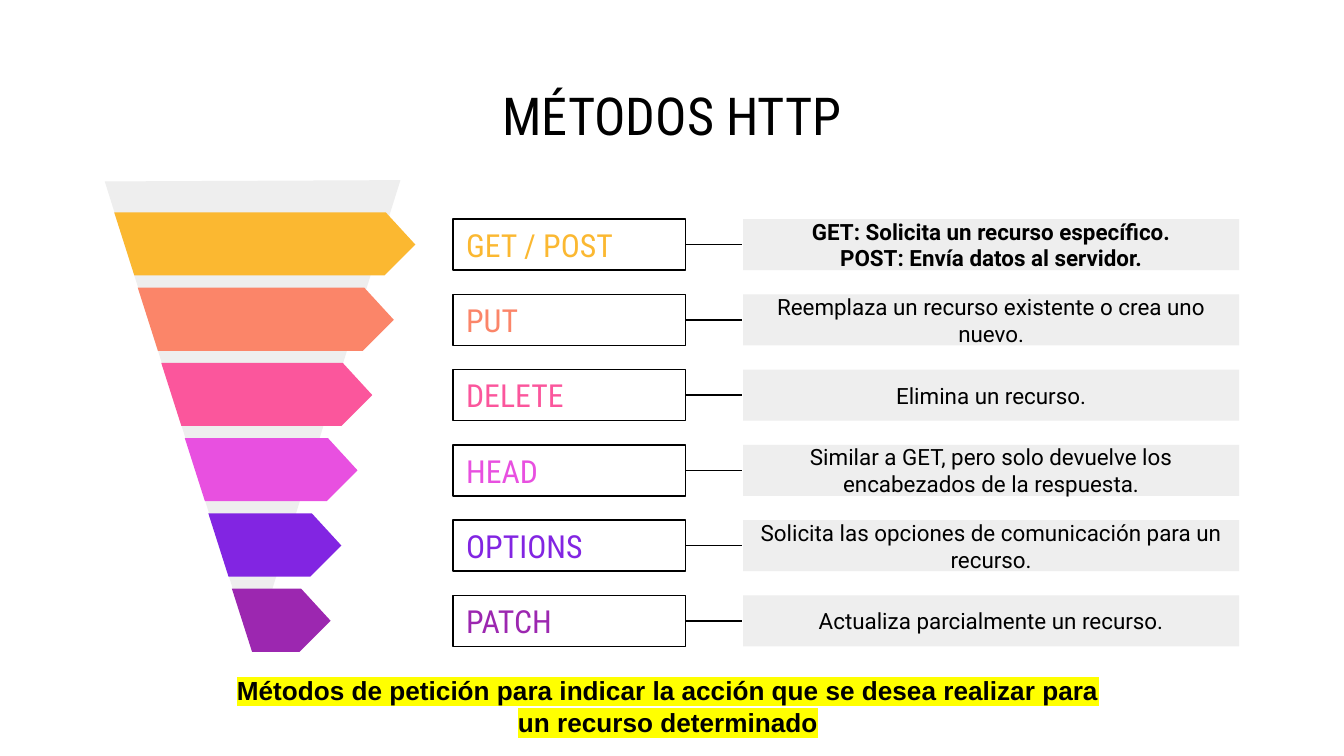
"""Build a slide that lists the HTTP request methods beside a funnel."""
from dataclasses import dataclass

from lxml import etree
from pptx import Presentation
from pptx.dml.color import RGBColor
from pptx.enum import shapes, text
from pptx.oxml import ns
from pptx.util import Inches, Pt


@dataclass(frozen=True)
class Theme:
    """Colours, fonts and type sizes of the slide."""
    ink: str = "000000"
    panel: str = "EEEEEE"
    highlight: str = "FFFF00"
    condensed: str = "Roboto Condensed"
    body: str = "Roboto"
    plain: str = "Arial"
    title_size: float = 28
    label_size: float = 17
    body_size: float = 12
    caption_size: float = 14
    line_width: float = 0.75


@dataclass(frozen=True)
class Method:
    """One row: label, colour, arrow tip and description lines."""
    label: str
    color: str
    tip: float
    lines: tuple
    bold: bool = False


THEME = Theme()
FIRST_CENTER = 1.82
ROW_STEP = 0.56
BOX_HEIGHT = 0.38
METHODS = (
    Method("GET / POST", "FBB831", 3.09,
           ("GET: Solicita un recurso específico.", "POST: Envía datos al servidor."), True),
    Method("PUT", "FB8569", 2.93, ("Reemplaza un recurso existente o crea uno nuevo.",)),
    Method("DELETE", "FB569C", 2.77, ("Elimina un recurso.",)),
    Method("HEAD", "E850E0", 2.66,
           ("Similar a GET, pero solo devuelve los encabezados de la respuesta.",)),
    Method("OPTIONS", "8225E2", 2.54,
           ("Solicita las opciones de comunicación para un recurso.",)),
    Method("PATCH", "9C27B0", 2.46, ("Actualiza parcialmente un recurso.",)),
)


def rgb(color):
    """Turn a hex string into a colour."""
    return RGBColor.from_string(color)


def write(frame, lines, font, size, color=THEME.ink, bold=False,
          align=text.PP_ALIGN.CENTER, margins=(0.1, 0)):
    """Fill a text frame with one run per line and return the runs."""
    frame.word_wrap = True
    frame.margin_left = frame.margin_right = Inches(margins[0])
    frame.margin_top = frame.margin_bottom = Inches(margins[1])
    runs = []
    for index, line in enumerate(lines):
        paragraph = frame.add_paragraph() if index else frame.paragraphs[0]
        paragraph.alignment = align
        run = paragraph.add_run()
        run.text = line
        run.font.name = font
        run.font.size = Pt(size)
        run.font.bold = bold
        run.font.color.rgb = rgb(color)
        runs.append(run)
    return runs


def add_title(slide, title):
    """Place and format the title placeholder."""
    shape = slide.shapes.title
    shape.left, shape.top = Inches(0.78), Inches(0.59)
    shape.width, shape.height = Inches(8.44), Inches(0.52)
    write(shape.text_frame, (title,), THEME.condensed, THEME.title_size, margins=(0, 0.1))
    shape.text_frame.auto_size = text.MSO_AUTO_SIZE.NONE
    shape.text_frame.vertical_anchor = text.MSO_ANCHOR.MIDDLE


def add_polygon(container, points, color):
    """Draw a closed filled outline through points in inches."""
    corners = [(Inches(x), Inches(y)) for x, y in points]
    builder = container.build_freeform(*corners[0])
    builder.add_line_segments(corners[1:], close=True)
    shape = builder.convert_to_shape()
    shape.shadow.inherit = False
    shape.fill.solid()
    shape.fill.fore_color.rgb = rgb(color)
    shape.line.fill.background()


def add_box(container, left, center, width, fill=None):
    """Draw a row rectangle, filled or outlined, and return its text frame."""
    shape = container.add_shape(
        shapes.MSO_SHAPE.RECTANGLE, Inches(left), Inches(center - BOX_HEIGHT / 2),
        Inches(width), Inches(BOX_HEIGHT))
    shape.shadow.inherit = False
    if fill:
        shape.fill.solid()
        shape.fill.fore_color.rgb = rgb(fill)
        shape.line.fill.background()
    else:
        shape.fill.background()
        shape.line.color.rgb = rgb(THEME.ink)
        shape.line.width = Pt(THEME.line_width)
    shape.text_frame.vertical_anchor = text.MSO_ANCHOR.MIDDLE
    return shape.text_frame


def add_link(container, start, end, center):
    """Draw a plain horizontal connector."""
    connector = container.add_connector(
        shapes.MSO_CONNECTOR.STRAIGHT, Inches(start), Inches(center),
        Inches(end), Inches(center))
    connector.line.color.rgb = rgb(THEME.ink)
    connector.line.width = Pt(THEME.line_width)
    etree.SubElement(connector.element.spPr, ns.qn("a:effectLst"))


def add_funnel(slide):
    """Draw the funnel with one arrow for each method."""
    group = slide.shapes.add_group_shape().shapes
    add_polygon(group, [(0.78, 1.35), (2.98, 1.34), (1.88, 4.85)], THEME.panel)
    for index, method in reversed(list(enumerate(METHODS))):
        left = 0.85 + 0.175 * index
        center = FIRST_CENTER + ROW_STEP * index
        top, bottom = center - 0.24, center + 0.23
        add_polygon(group, [
            (left, top), (left + 0.15, bottom), (method.tip - 0.23, bottom),
            (method.tip, center), (method.tip - 0.22, top)], method.color)


def add_row(slide, index, method):
    """Draw the label, description and link of one method."""
    group = slide.shapes.add_group_shape().shapes
    center = FIRST_CENTER + ROW_STEP * index
    label = add_box(group, 3.37, center, 1.73)
    write(label, (method.label,), THEME.condensed, THEME.label_size, method.color,
          align=text.PP_ALIGN.LEFT)
    description = add_box(group, 5.53, center, 3.69, THEME.panel)
    write(description, method.lines, THEME.body, THEME.body_size, bold=method.bold)
    add_link(group, 5.1, 5.52, center)


def add_highlight(run, color):
    """Put a marker colour behind a run."""
    highlight = etree.Element(ns.qn("a:highlight"))
    etree.SubElement(highlight, ns.qn("a:srgbClr"), val=color)
    run._r.rPr.find(ns.qn("a:solidFill")).addnext(highlight)


def add_caption(slide, caption):
    """Add the highlighted closing sentence."""
    box = slide.shapes.add_textbox(Inches(1.61), Inches(4.97), Inches(6.72), Inches(0.56))
    runs = write(box.text_frame, (caption,), THEME.plain, THEME.caption_size,
                 bold=True, margins=(0.1, 0.05))
    box.text_frame.auto_size = text.MSO_AUTO_SIZE.SHAPE_TO_FIT_TEXT
    for run in runs:
        add_highlight(run, THEME.highlight)


def main():
    """Build and save the presentation."""
    presentation = Presentation()
    presentation.slide_width = Inches(10)
    presentation.slide_height = presentation.slide_width * 9 // 16
    slide = presentation.slides.add_slide(presentation.slide_layouts[5])
    add_title(slide, "MÉTODOS HTTP")
    add_funnel(slide)
    for index, method in enumerate(METHODS):
        add_row(slide, index, method)
    add_caption(slide, "Métodos de petición para indicar la acción que se desea "
                       "realizar para un recurso determinado")
    presentation.save("out.pptx")


if __name__ == "__main__":
    main()
